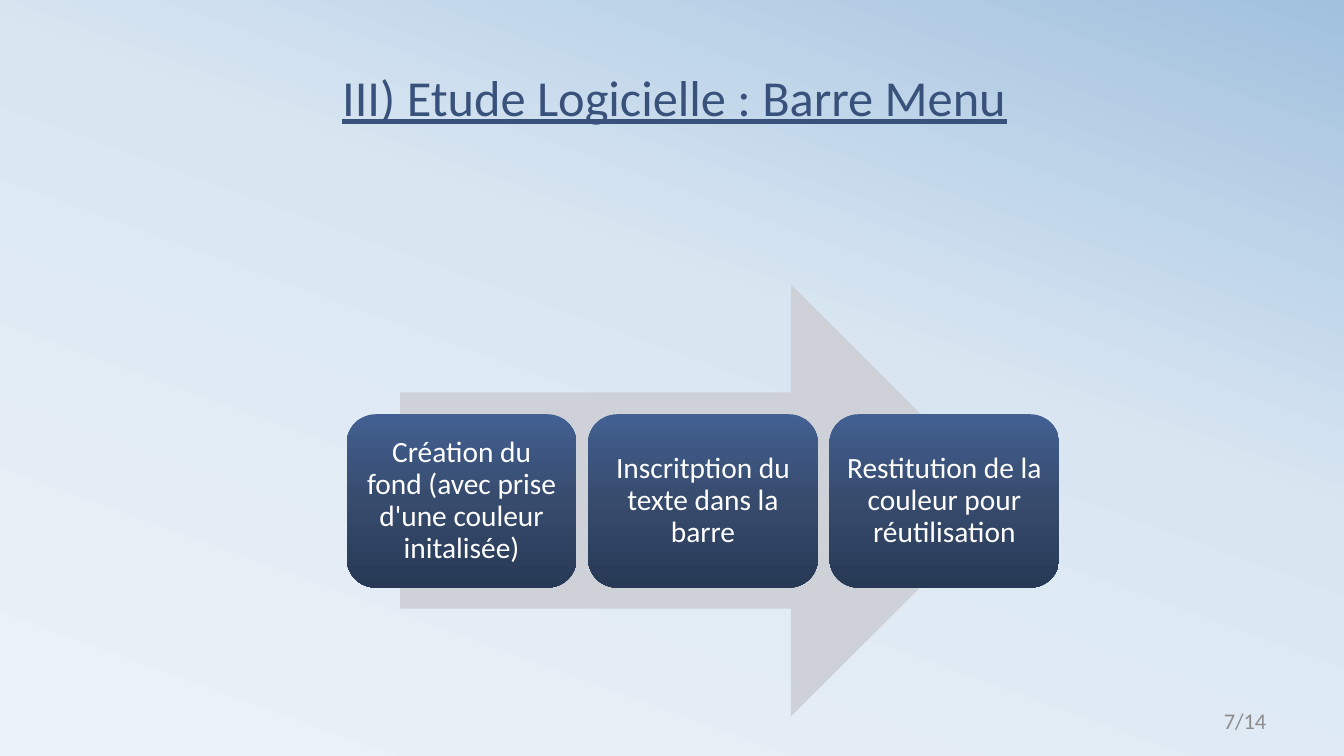
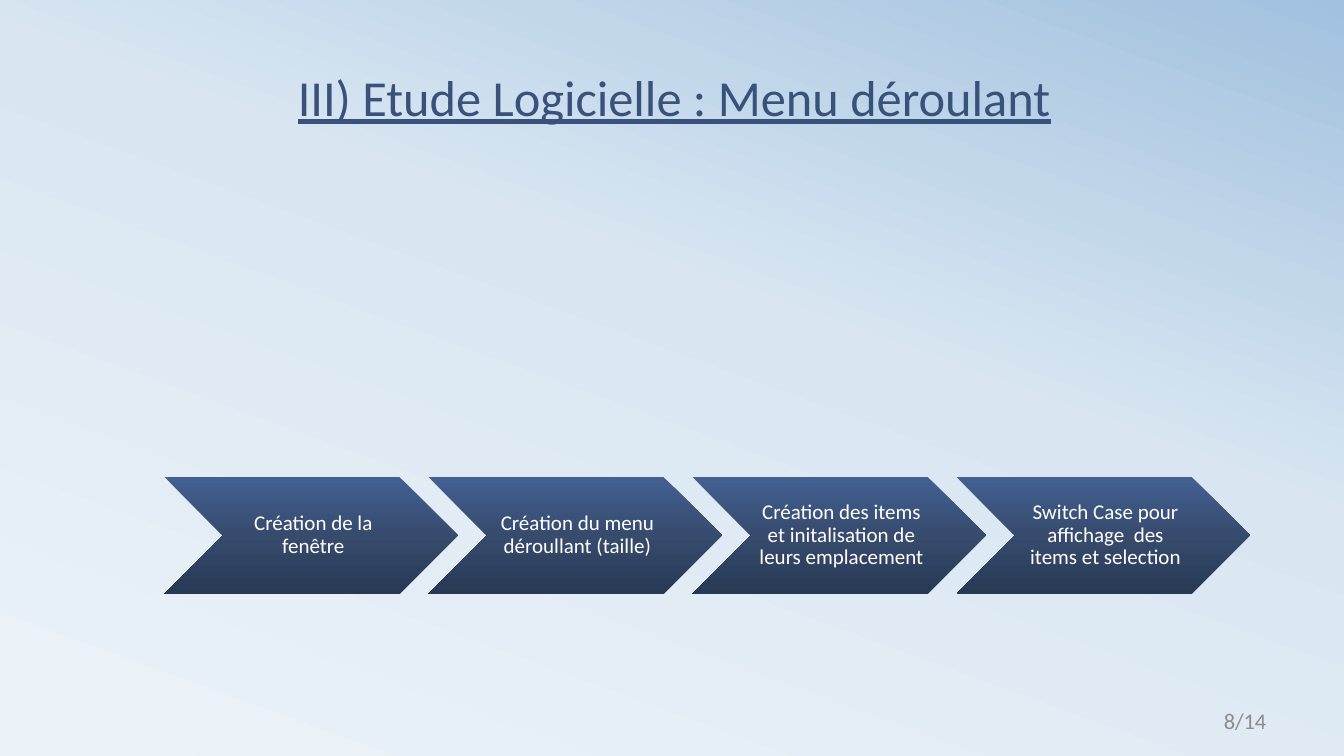
"""Builds two slides on a software study: menu bar and drop-down menu."""
from pptx import Presentation
from pptx import util as u
from pptx.dml.color import RGBColor
from pptx.enum import shapes, text
from pptx.oxml import parse_xml
from pptx.oxml.ns import nsdecls, qn

NAVY, WHITE, GREY, SILVER = "39527B", "FFFFFF", "8C8C8C", "CED1D7"
SKY = {0: "ECF3F8", 58: "D9E6F2", 100: "A1C1DE"}
STEEL = {0: "426092", 50: "374B6D", 100: "273955"}
KIND, ALIGN, ANCHOR = shapes.MSO_SHAPE, text.PP_ALIGN, text.MSO_ANCHOR

prs = Presentation()
prs.slide_width, prs.slide_height = u.Inches(13.33), u.Inches(7.5)
COL, ROW = prs.slide_width / 100, prs.slide_height / 100


def paint(fill, color, angle=270):
    """Fill with one hex colour, or with a gradient given as {percent: hex}."""
    if isinstance(color, str):
        fill.solid()
        fill.fore_color.rgb = RGBColor.from_string(color)
        return
    fill.gradient()
    fill.gradient_angle = angle
    stops = fill._xPr.find(".//" + qn("a:gsLst"))
    stops.clear()
    for pos, rgb in color.items():
        stops.append(parse_xml(
            f'<a:gs {nsdecls("a")} pos="{pos * 1000}"><a:srgbClr val="{rgb}"/></a:gs>'))


def write(s, words, at, kind=None, fill=None, size=16, color=WHITE, align=ALIGN.CENTER,
          anchor=ANCHOR.MIDDLE, spacing=0.9, underline=None, insets=(7.2, 3.6, 7.2, 3.6)):
    """Place text at (column, row, columns, rows), inside a filled shape if kind is given."""
    box = [round(n * unit) for n, unit in zip(at, (COL, ROW, COL, ROW))]
    if kind is None:
        sp = s.shapes.add_textbox(*box)
    else:
        sp = s.shapes.add_shape(kind, *box)
        sp.shadow.inherit = False
        sp.line.fill.background()
        paint(sp.fill, fill)
    if not words:
        return
    tf = sp.text_frame
    tf.word_wrap, tf.vertical_anchor = True, anchor
    tf.margin_left, tf.margin_top, tf.margin_right, tf.margin_bottom = map(u.Pt, insets)
    p = tf.paragraphs[0]
    p.alignment, p.line_spacing = align, spacing
    r = p.add_run()
    r.text = words
    r.font.name, r.font.size, r.font.underline = "Calibri", u.Pt(size), underline
    paint(r.font.fill, color)


bar = dict(left=25.8, top=54.8, width=17.1, height=22.93, pitch=17.96,
           format=dict(kind=KIND.ROUNDED_RECTANGLE, size=21, insets=(6.3,) * 4))
dropdown = dict(left=12.23, top=63.07, width=21.83, height=15.47, pitch=0.9 * 21.83,
                format=dict(kind=KIND.CHEVRON, size=15, insets=(4.8, 1.6, 1.6, 1.6)))
slides = [
    ("Barre Menu", bar, [
        "Création du fond (avec prise d'une couleur initalisée)",
        "Inscritption du texte dans la barre",
        "Restitution de la couleur pour réutilisation"]),
    ("Menu déroulant", dropdown, [
        "Création de la fenêtre",
        "Création du menu déroullant (taille)",
        "Création des items et initalisation de leurs emplacement",
        "Switch Case pour affichage  des items et selection"]),
]

for number, (topic, flow, steps) in enumerate(slides, 7):
    s = prs.slides.add_slide(prs.slide_layouts[6])
    paint(s.background.fill, SKY, angle=70)
    write(s, f"III) Etude Logicielle : {topic}", (5.18, 5.87, 90, 11.6), size=36,
          color=NAVY, anchor=ANCHOR.BOTTOM, underline=True)
    if flow is bar:
        write(s, "", (29.78, 37.6, 45.15, 57.2), kind=KIND.RIGHT_ARROW, fill=SILVER)
    for i, step in enumerate(steps):
        at = flow["left"] + i * flow["pitch"], flow["top"], flow["width"], flow["height"]
        write(s, step, at, fill=STEEL, **flow["format"])
    write(s, f"{number}/14", (71.63, 92.67, 23.33, 5.33), color=GREY,
          align=ALIGN.RIGHT, spacing=1.0)

prs.save("out.pptx")
